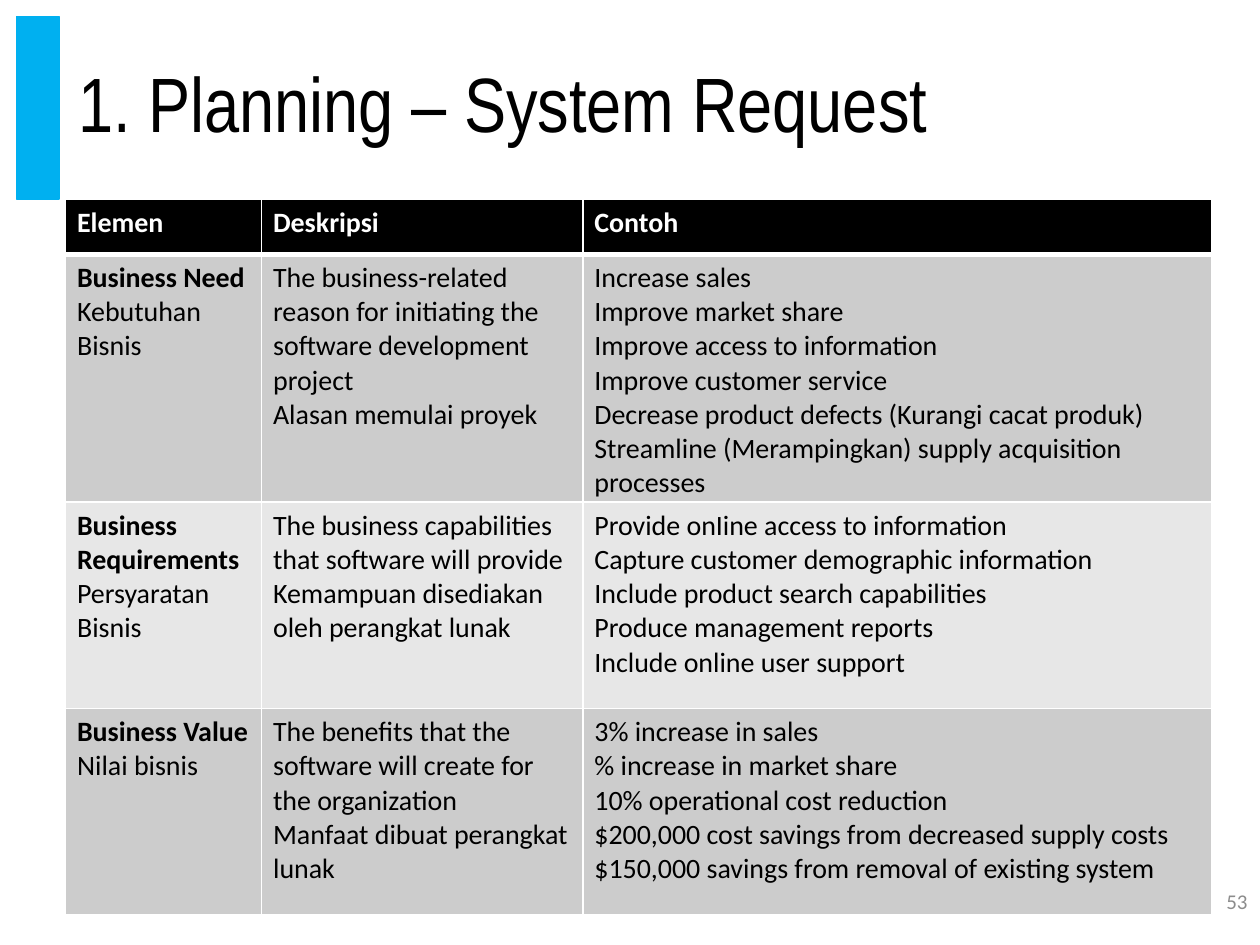
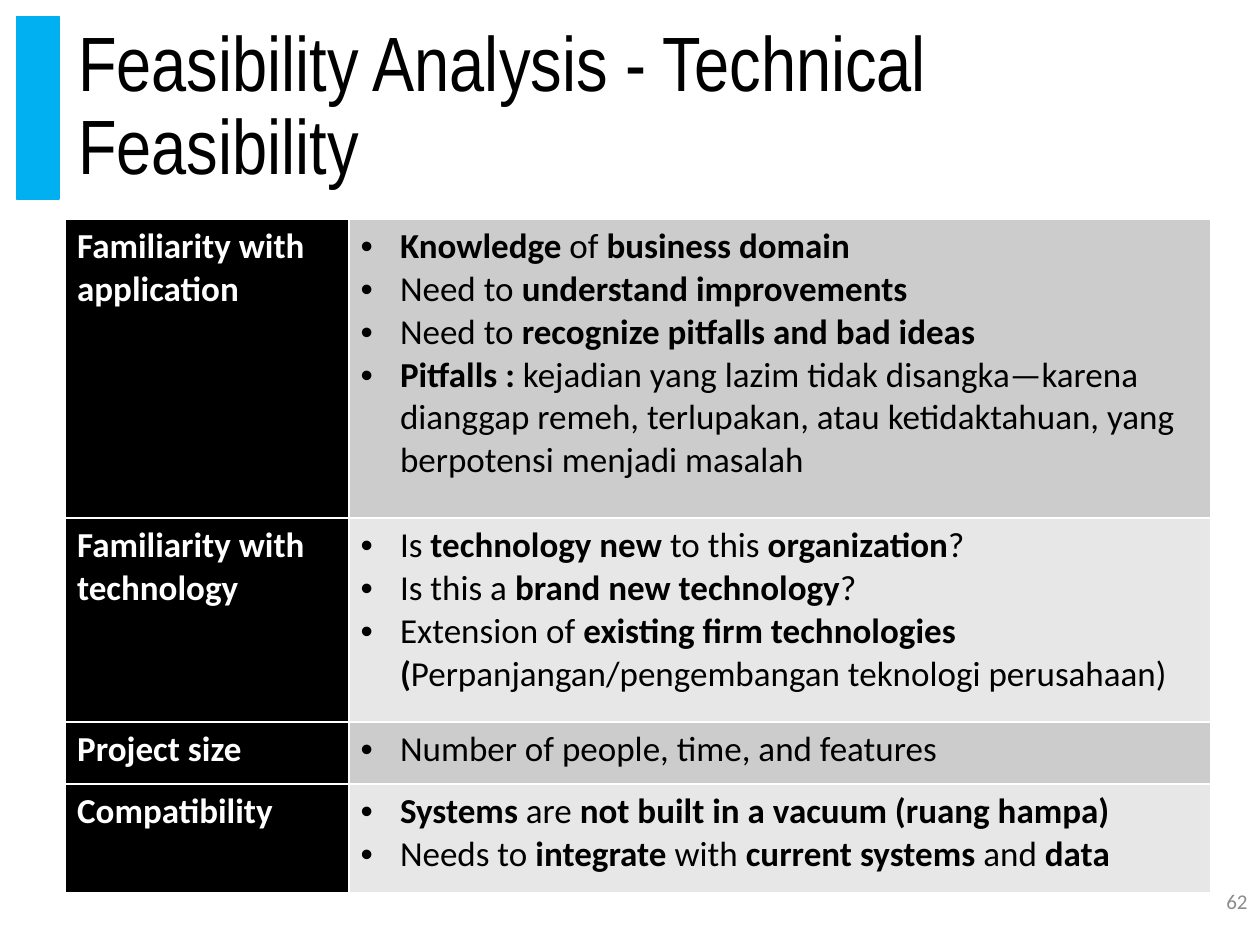
from lxml import etree
from pptx import Presentation
from pptx import util as u
from pptx.dml.color import RGBColor
from pptx.enum import shapes, text
from pptx.oxml.ns import qn

COLORS = {
    "accent": "00B0F0", "ink": "000000", "paper": "FFFFFF",
    "dark_band": "CCCCCC", "light_band": "E7E7E7", "number": "8C8C8C",
}
BANDS = ("dark_band", "light_band")
TITLE = {"name": "Arial Narrow", "size": u.Pt(44)}
NUMBER = {"name": "Calibri", "size": u.Pt(12)}
LEFT, TOP, TITLE_HEIGHT = 37.5, 9.4, 104.4
BULLET_INDENT = u.Pt(22.5)

REQUEST_ROWS = [
    ["**Elemen**", "**Deskripsi**", "**Contoh**"],
    ["**Business Need**\nKebutuhan Bisnis",
     "The business-related reason for initiating the software development project\n"
     "Alasan memulai proyek",
     "Increase sales\nImprove market share\nImprove access to information\n"
     "Improve customer service\nDecrease product defects (Kurangi cacat produk)\n"
     "Streamline (Merampingkan) supply acquisition processes"],
    ["**Business Requirements**\nPersyaratan Bisnis",
     "The business capabilities that software will provide\n"
     "Kemampuan disediakan oleh perangkat lunak",
     "Provide onIine access to information\nCapture customer demographic information\n"
     "Include product search capabilities\nProduce management reports\n"
     "Include online user support"],
    ["**Business Value**\nNilai bisnis",
     "The benefits that the software will create for the organization\n"
     "Manfaat dibuat perangkat lunak",
     "3% increase in sales\n% increase in market share\n10% operational cost reduction\n"
     "$200,000 cost savings from decreased supply costs\n"
     "$150,000 savings from removal of existing system"],
]
FEASIBILITY_ROWS = [
    ["**Familiarity with application**",
     "**Knowledge** of **business domain**\nNeed to **understand improvements**\n"
     "Need to **recognize pitfalls and bad ideas**\n"
     "**Pitfalls : **kejadian yang lazim tidak disangka—karena dianggap remeh, "
     "terlupakan, atau ketidaktahuan, yang berpotensi menjadi masalah"],
    ["**Familiarity with technology**",
     "Is **technology new **to this **organization**?\n"
     "Is this a **brand new technology**?\n"
     "Extension of **existing firm technologies (**"
     "Perpanjangan/pengembangan teknologi perusahaan)"],
    ["**Project size**", "Number of people, time, and features"],
    ["**Compatibility**",
     "**Systems** are **not built in a vacuum (ruang hampa)**\n"
     "Needs to **integrate** with **current systems **and **data**"],
]


def rgb(color):
    """Look up a named colour."""
    return RGBColor.from_string(COLORS[color])


def style_font(font, style, color):
    """Apply a dict of font values and a named colour."""
    for key, value in style.items():
        setattr(font, key, value)
    font.color.rgb = rgb(color)


def add_line(slide, box, words, style, color, **layout):
    """Add a vertically centred text box holding one paragraph."""
    frame = slide.shapes.add_textbox(*map(u.Pt, box)).text_frame
    frame.word_wrap = True
    frame.vertical_anchor = text.MSO_ANCHOR.MIDDLE
    line = frame.paragraphs[0]
    for key, value in layout.items():
        setattr(line, key, value)
    run = line.add_run()
    run.text = words
    style_font(run.font, style, color)


def add_base(deck, heading, number):
    """Add a slide with its accent band, title and number."""
    slide = deck.slides.add_slide(deck.slide_layouts[6])
    band = slide.shapes.add_shape(
        shapes.MSO_SHAPE.RECTANGLE, *map(u.Pt, (TOP, TOP, 24.5, TITLE_HEIGHT)))
    band.shadow.inherit = False
    band.fill.solid()
    band.fill.fore_color.rgb = band.line.color.rgb = rgb("accent")
    band.line.width = u.Pt(1)
    add_line(slide, (LEFT, TOP, 655, TITLE_HEIGHT), heading, TITLE, "ink",
             line_spacing=0.9)
    add_line(slide, (558, 500.4, 162, 28.8), str(number), NUMBER, "number",
             alignment=text.PP_ALIGN.RIGHT)
    return slide


def add_bullet(paragraph):
    """Give a paragraph a round bullet with a hanging indent."""
    props = paragraph._p.get_or_add_pPr()
    props.set("marL", str(BULLET_INDENT))
    props.set("indent", str(-BULLET_INDENT))
    etree.SubElement(props, qn("a:buFont"), typeface="Arial")
    etree.SubElement(props, qn("a:buChar"), char="•")


def draw_borders(cell, top, bottom):
    """Draw white cell borders, with own widths above and below."""
    props = cell._tc.get_or_add_tcPr()
    for side, width in (("L", 1), ("R", 1), ("T", top), ("B", bottom)):
        border = etree.SubElement(props, qn(f"a:ln{side}"), w=str(u.Pt(width)))
        fill = etree.SubElement(border, qn("a:solidFill"))
        etree.SubElement(fill, qn("a:srgbClr"), val=COLORS["paper"])


def write_cell(cell, content, size, color, bulleted):
    """Write lines whose bold parts stand between double asterisks."""
    frame = cell.text_frame
    for index, words in enumerate(content.split("\n")):
        line = frame.add_paragraph() if index else frame.paragraphs[0]
        if bulleted:
            add_bullet(line)
        for part, piece in enumerate(words.split("**")):
            if piece:
                run = line.add_run()
                run.text = piece
                style = {"name": "Calibri", "size": u.Pt(size), "bold": part % 2 == 1}
                style_font(run.font, style, color)


def add_grid(slide, top, widths, heights, rows, size, header_row):
    """Add a banded table headed by its first row or its first column."""
    grid = slide.shapes.add_table(
        len(rows), len(widths),
        *map(u.Pt, (LEFT, top, sum(widths), sum(heights)))).table
    flags = {"first_row": header_row, "first_col": not header_row, "horz_banding": False}
    for key, value in flags.items():
        setattr(grid, key, value)
    for column, width in zip(grid.columns, widths):
        column.width = u.Pt(width)
    for r, (height, contents) in enumerate(zip(heights, rows)):
        grid.rows[r].height = u.Pt(height)
        for c, content in enumerate(contents):
            cell = grid.cell(r, c)
            heading = (r if header_row else c) == 0
            draw_borders(cell, 3 if header_row and r == 1 else 1,
                         3 if header_row and r == 0 else 1)
            cell.fill.solid()
            cell.fill.fore_color.rgb = rgb(
                "ink" if heading else BANDS[(r - header_row) % 2])
            for side, inset in (("left", 6.6), ("right", 6.6), ("top", 3.6), ("bottom", 3.6)):
                setattr(cell, f"margin_{side}", u.Pt(inset))
            write_cell(cell, content, size, "paper" if heading else "ink",
                       not header_row and not heading)


def main():
    """Build both slides and save the deck."""
    deck = Presentation()
    deck.slide_width, deck.slide_height = u.Pt(720), u.Pt(540)
    request = add_base(deck, "1. Planning – System Request", 53)
    add_grid(request, 114, (112, 183.6, 359.2), (31.4, 140.6, 118, 118),
             REQUEST_ROWS, 16, True)
    feasibility = add_base(deck, "Feasibility Analysis - Technical Feasibility", 62)
    add_grid(feasibility, 125, (162, 492.5), (171, 116.6, 35.4, 62.4),
             FEASIBILITY_ROWS, 20, False)
    deck.save("out.pptx")


if __name__ == "__main__":
    main()
